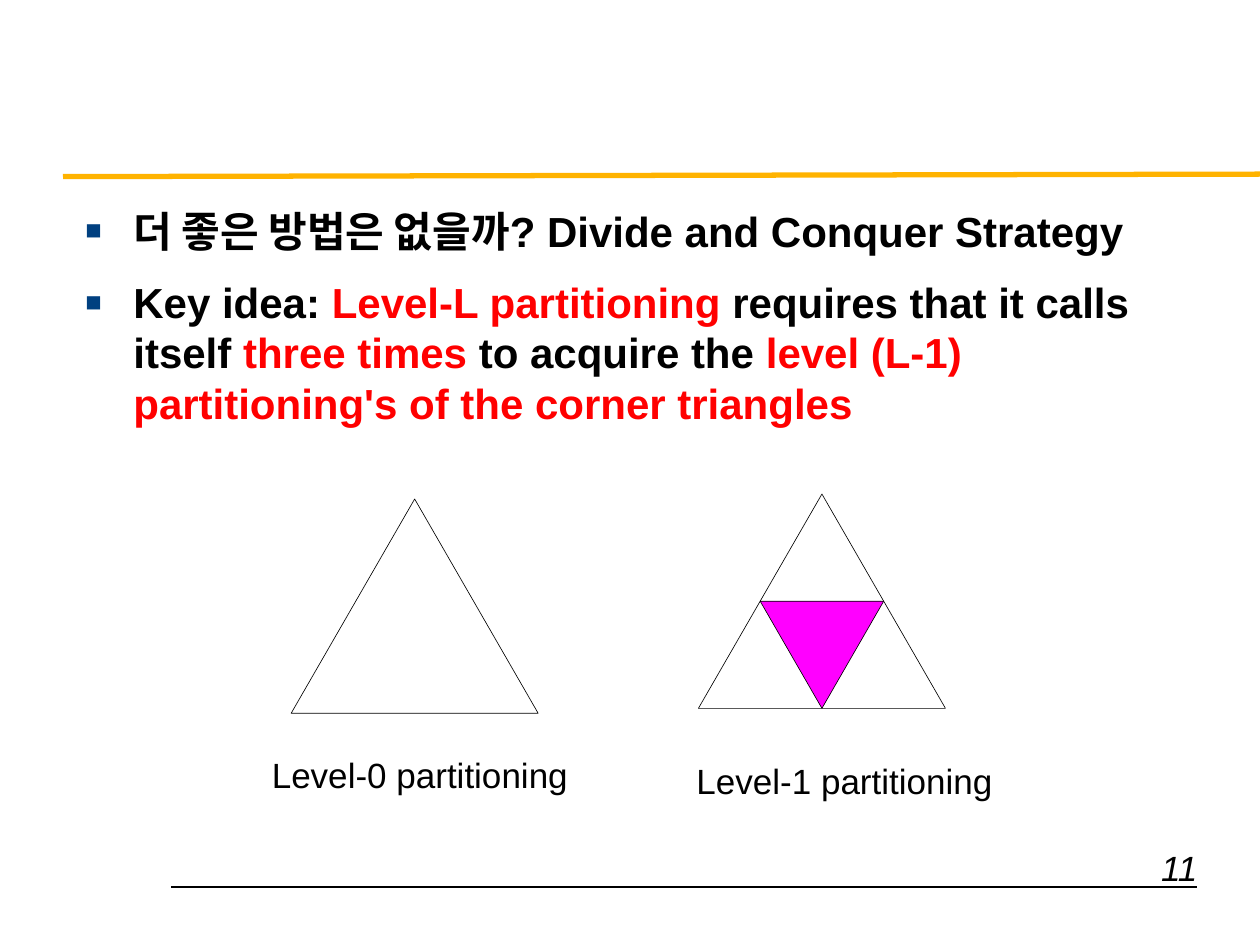
from dataclasses import dataclass

import lxml.etree
import pptx
import pptx.dml.color
import pptx.enum.shapes
import pptx.enum.text
import pptx.oxml.ns
import pptx.util

Cm = pptx.util.Cm
Pt = pptx.util.Pt
RGBColor = pptx.dml.color.RGBColor
PP_ALIGN = pptx.enum.text.PP_ALIGN
qn = pptx.oxml.ns.qn

BLACK = RGBColor(0, 0, 0)
WHITE = RGBColor(0xFF, 0xFF, 0xFF)
RED = RGBColor(0xFF, 0, 0)
AMBER = RGBColor(0xFF, 0xB3, 0)
MAGENTA = RGBColor(0xFF, 0, 0xFF)
NAVY = RGBColor(0, 0x40, 0x80)

TRIANGLE_HALF_BASE = 2.49
TRIANGLE_HEIGHT = 4.32
PANEL_SIZE = (7.06, 5.31)
PANEL_OFFSET = (3.64, 0.39)  # from panel corner to triangle apex

Point = tuple[float, float]
Run = tuple[str, RGBColor]


@dataclass(frozen=True)
class Rule:
    start: Point
    end: Point
    color: RGBColor
    width: float


@dataclass(frozen=True)
class Partitioning:
    level: int
    apex: Point
    caption_at: Point


RULES = [
    Rule((3.45, 17.88), (25.4 * 0.95, 17.88), BLACK, 0.75),
    Rule((1.27, 3.56), (25.4, 3.51), AMBER, 3),
]
KEY_POINTS: list[list[Run]] = [
    [("더 좋은 방법은 없을까? Divide and Conquer Strategy", BLACK)],
    [
        ("Key idea: ", BLACK),
        ("Level-L partitioning ", RED),
        ("requires that it calls itself ", BLACK),
        ("three times", RED),
        (" to acquire the ", BLACK),
        ("level (L-1) partitioning's of the corner triangles", RED),
    ],
]
PARTITIONINGS = [
    Partitioning(1, (16.57, 9.96), (13.79, 15.19)),
    Partitioning(0, (8.36, 10.06), (5.23, 15.06)),
]


def draw_rule(slide, rule: Rule) -> None:
    connector = slide.shapes.add_connector(
        pptx.enum.shapes.MSO_CONNECTOR.STRAIGHT,
        *(Cm(value) for value in rule.start + rule.end),
    )
    connector.line.color.rgb = rule.color
    connector.line.width = Pt(rule.width)
    lxml.etree.SubElement(connector._element.spPr, qn("a:effectLst"))


def add_square_bullet(paragraph) -> None:
    properties = paragraph._p.get_or_add_pPr()
    properties.set("marL", str(Cm(0.97)))
    properties.set("indent", str(-Cm(0.97)))
    color = lxml.etree.SubElement(properties, qn("a:buClr"))
    lxml.etree.SubElement(color, qn("a:srgbClr"), val=str(NAVY))
    lxml.etree.SubElement(properties, qn("a:buSzPct"), val="65000")
    lxml.etree.SubElement(properties, qn("a:buFont"), typeface="Arial")
    lxml.etree.SubElement(properties, qn("a:buChar"), char="■")


def add_text(slide, paragraphs: list[list[Run]], *, at: Point,
             extent: Point, size: float = 20, bold: bool = False,
             italic: bool = False, align=PP_ALIGN.LEFT, wrap: bool = True,
             bullets: bool = False, space_before: float = 0) -> None:
    box = slide.shapes.add_textbox(*(Cm(value) for value in at + extent))
    frame = box.text_frame
    frame.word_wrap = wrap
    for index, runs in enumerate(paragraphs):
        paragraph = frame.add_paragraph() if index else frame.paragraphs[0]
        paragraph.alignment = align
        paragraph.space_before = Pt(space_before)
        if bullets:
            add_square_bullet(paragraph)
        for text, color in runs:
            run = paragraph.add_run()
            run.text = text
            run.font.name = "Arial"
            run.font.size = Pt(size)
            run.font.bold = bold
            run.font.italic = italic
            run.font.color.rgb = color


def draw_triangle(group, corners: list[Point],
                  fill: RGBColor | None = None) -> None:
    start, *others = [(Cm(x), Cm(y)) for x, y in corners]
    builder = group.shapes.build_freeform(*start)
    builder.add_line_segments(others, close=True)
    triangle = builder.convert_to_shape()
    triangle.shadow.inherit = False
    triangle.line.color.rgb = BLACK
    triangle.line.width = Pt(0.38)
    if fill is None:
        triangle.fill.background()
    else:
        triangle.fill.solid()
        triangle.fill.fore_color.rgb = fill


def draw_partitioning(slide, partitioning: Partitioning) -> None:
    """Draw the outer triangle, and its removed centre above level 0."""
    group = slide.shapes.add_group_shape()
    x, y = partitioning.apex
    panel = group.shapes.add_shape(
        pptx.enum.shapes.MSO_SHAPE.RECTANGLE,
        Cm(x - PANEL_OFFSET[0]), Cm(y - PANEL_OFFSET[1]),
        *(Cm(value) for value in PANEL_SIZE),
    )
    panel.shadow.inherit = False
    panel.fill.solid()
    panel.fill.fore_color.rgb = WHITE
    panel.line.fill.background()

    base = y + TRIANGLE_HEIGHT
    middle = y + TRIANGLE_HEIGHT / 2
    half = TRIANGLE_HALF_BASE
    draw_triangle(group, [(x - half, base), (x + half, base), (x, y)])
    if partitioning.level:
        draw_triangle(group, [(x, base), (x + half / 2, middle),
                              (x - half / 2, middle)], MAGENTA)


def main() -> None:
    presentation = pptx.Presentation()
    presentation.slide_width = Cm(25.4)
    presentation.slide_height = Cm(19.05)
    slide = presentation.slides.add_slide(presentation.slide_layouts[6])

    for rule in RULES:
        draw_rule(slide, rule)
    add_text(slide, KEY_POINTS, at=(1.47, 4.01), extent=(23.16, 11.53),
             size=24, bold=True, bullets=True, space_before=12)
    add_text(slide, [[("11", BLACK)]], at=(18.85, 16.94),
             extent=(5.54, 0.97), italic=True, align=PP_ALIGN.RIGHT)
    for partitioning in PARTITIONINGS:
        draw_partitioning(slide, partitioning)
    for partitioning in reversed(PARTITIONINGS):
        caption = f"Level-{partitioning.level} partitioning"
        add_text(slide, [[(caption, BLACK)]], at=partitioning.caption_at,
                 extent=(6.53, 1.12), wrap=False)

    presentation.save("out.pptx")


if __name__ == "__main__":
    main()
